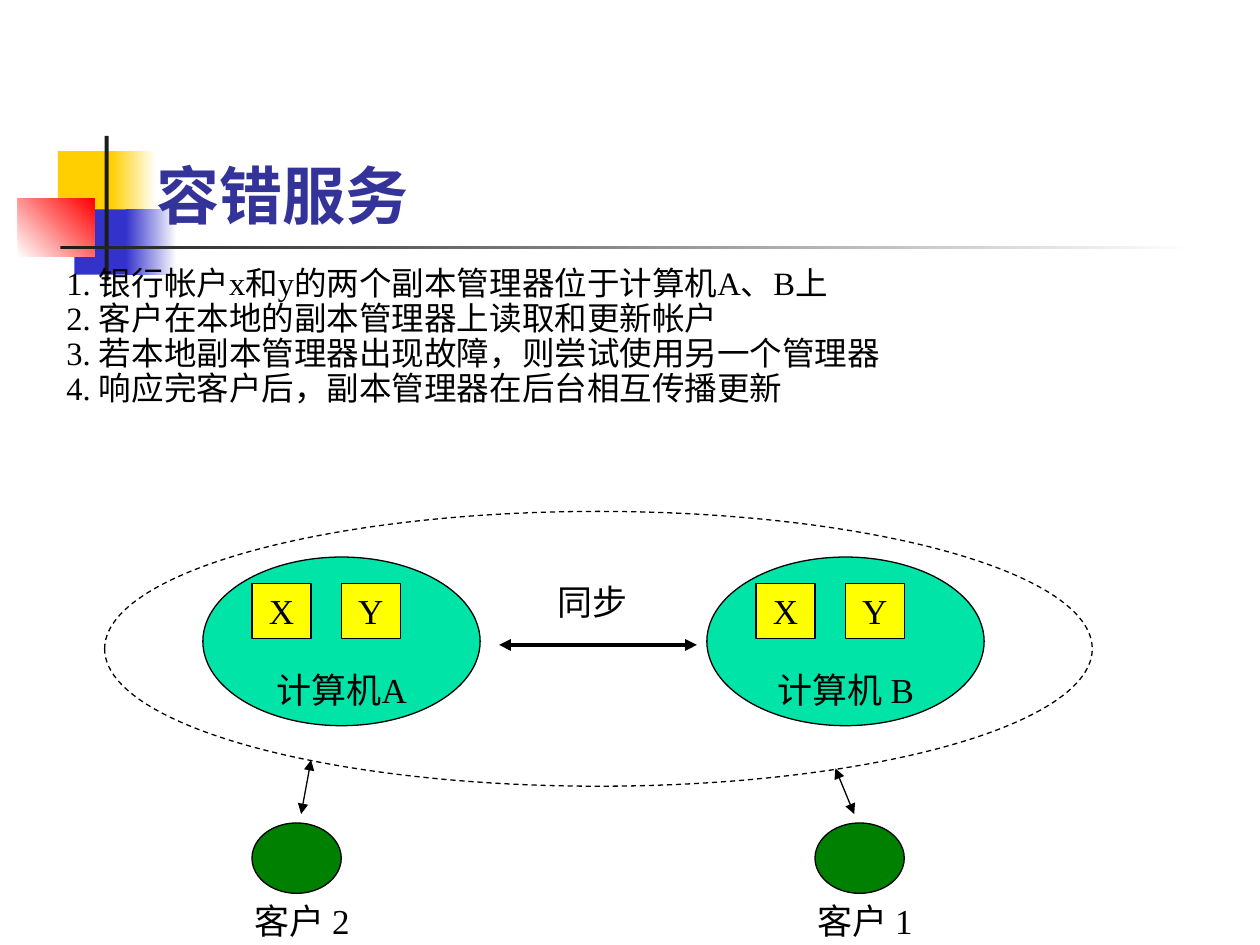
from pptx import Presentation
from pptx.dml.color import RGBColor as RGB
from pptx.enum.dml import MSO_LINE as Dash
from pptx.enum.shapes import MSO_CONNECTOR as Link, MSO_SHAPE as Shape
from pptx.enum.text import MSO_ANCHOR as Anchor, PP_ALIGN as Align
from pptx.oxml.ns import qn
from pptx.util import Cm, Pt
from lxml.etree import SubElement

COLORS = {
    "gold": "FFCF01", "blue": "3333CC", "red": "FF0000", "white": "FFFFFF",
    "ink": "1C1C1C", "title": "333399", "black": "000000",
    "machine": "00E4A8", "replica": "FFFF00", "client": "008000",
}
COLORS = {name: RGB.from_string(value) for name, value in COLORS.items()}

deck = Presentation()
deck.slide_width, deck.slide_height = Cm(25.4), Cm(19.05)
page = deck.slides.add_slide(deck.slide_layouts[6])


def add_block(kind, place, fills=(), outline=False, angle=0):
    block = page.shapes.add_shape(kind, *map(Cm, place))
    block.shadow.inherit = False
    if len(fills) == 2:
        block.fill.gradient()
        block.fill.gradient_angle = angle
        for stop, name in zip(block.fill.gradient_stops, fills):
            stop.color.rgb = COLORS[name]
    elif fills:
        block.fill.solid()
        block.fill.fore_color.rgb = COLORS[fills[0]]
    else:
        block.fill.background()
    if outline:
        block.line.color.rgb = COLORS["black"]
        block.line.width = Pt(0.75)
    else:
        block.line.fill.background()
    return block


def write(box, lines, size=20, color="black", font="Times New Roman",
          bold=False, anchor=Anchor.TOP, **layout):
    frame = box.text_frame
    frame.word_wrap = True
    frame.vertical_anchor = anchor
    for index, line in enumerate(lines):
        para = frame.add_paragraph() if index else frame.paragraphs[0]
        for name, value in ({"alignment": Align.CENTER} | layout).items():
            setattr(para, name, value)
        span = para.add_run()
        span.text = line
        style = {"size": Pt(size), "name": font, "bold": bold}
        for name, value in style.items():
            setattr(span.font, name, value)
        span.font.color.rgb = COLORS[color]
        SubElement(span.font._element, qn("a:ea"), typeface="Noto Sans CJK JP")


for place, fills, angle in [
    ((1.17, 3.05, 1.22, 1.32), ["gold"], 0),
    ((2.24, 3.05, 0.91, 1.32), ["gold", "white"], 0),
    ((1.5, 4.22, 1.17, 1.32), ["blue"], 0),
    ((2.54, 4.22, 1.02, 1.32), ["blue", "white"], 0),
    ((0.36, 4.01, 1.55, 1.17), ["white", "red"], 45),
    ((2.11, 2.74, 0.08, 2.92), ["ink"], 0),
    ((1.22, 4.95, 22.86, 0.08), ["ink", "white"], 0),
]:
    add_block(Shape.RECTANGLE, place, fills, angle=angle)

title = page.shapes.add_textbox(Cm(2.9), Cm(2.31), Cm(18.8), Cm(2.49))
write(title, ["容错服务"], 36, "title", "Noto Sans CJK JP", True,
      Anchor.BOTTOM, alignment=Align.LEFT)

rules = page.shapes.add_textbox(Cm(1.09), Cm(5.33), Cm(23.06), Cm(4.11))
write(rules, [
    "1. 银行帐户x和y的两个副本管理器位于计算机A、B上",
    "2. 客户在本地的副本管理器上读取和更新帐户",
    "3. 若本地副本管理器出现故障，则尝试使用另一个管理器",
    "4. 响应完客户后，副本管理器在后台相互传播更新",
], 18.6, alignment=Align.LEFT, line_spacing=0.8, space_before=Pt(2.2))

labels = [("同步", 9.86, 11.58, 4.19)]
for left, name in [(4.09, "计算机A"), (14.25, "计算机 B")]:
    add_block(Shape.OVAL, (left, 11.23, 5.59, 3.4), ["machine"], True)
    labels.append((name, left + 0.41, 13.36, 4.78))
    for index, account in enumerate("XY"):
        place = (left + 0.99 + index * 1.8, 11.76, 1.19, 1.12)
        replica = add_block(Shape.RECTANGLE, place, ["replica"], True)
        write(replica, [account])

cluster = add_block(Shape.OVAL, (2.11, 10.31, 19.91, 5.54), outline=True)
cluster.line.dash_style = Dash.DASH

for left, name in [(5.08, "客户 2"), (16.43, "客户 1")]:
    add_block(Shape.OVAL, (left, 16.59, 1.8, 1.42), ["client"], True)
    labels.append((name, left - 0.39, 18.01, 2.79))

for name, left, top, width in labels:
    box = page.shapes.add_textbox(Cm(left), Cm(top), Cm(width), Cm(1.12))
    write(box, [name])

for ends, weight in [
    ((10.06, 13, 14.05, 13), 2.25),
    ((6.07, 16.41, 6.27, 15.32), 0.75),
    ((17.22, 16.41, 16.84, 15.49), 0.75),
]:
    arrow = page.shapes.add_connector(Link.STRAIGHT, *map(Cm, ends))
    arrow.line.color.rgb = COLORS["black"]
    arrow.line.width = Pt(weight)
    for end in ("a:headEnd", "a:tailEnd"):
        SubElement(arrow.line._get_or_add_ln(), qn(end), type="triangle")
    SubElement(arrow._element.spPr, qn("a:effectLst"))

deck.save("out.pptx")
